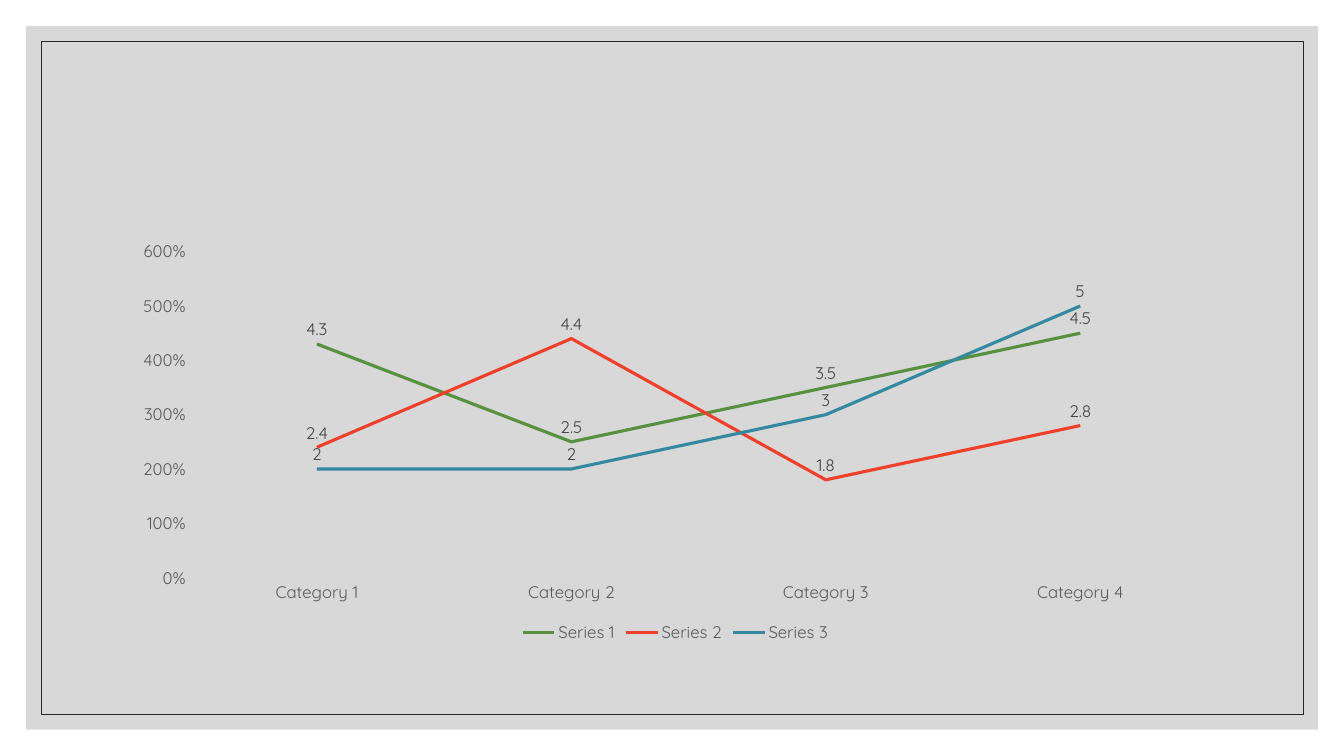
from dataclasses import dataclass

from lxml import etree
from pptx import Presentation
from pptx import util as u
from pptx.chart.data import CategoryChartData
from pptx.dml.color import RGBColor
from pptx.enum import chart as c
from pptx.enum import shapes
from pptx.oxml.ns import qn


@dataclass(frozen=True)
class Theme:
    font: str = "Quicksand"
    text_size: float = 12
    panel: str = "BFBFBF"
    panel_opacity: int = 60
    frame: str = "262626"
    axis_text: str = "595959"
    axis_line: str = "D9D9D9"
    label_text: str = "404040"
    series: tuple = ("57903F", "F03F2B", "3488A0")


class SlideBuilder:
    def __init__(self, slide, theme):
        self.slide = slide
        self.theme = theme

    def style_font(self, font, color):
        font.name = self.theme.font
        font.size = u.Pt(self.theme.text_size)
        font.color.rgb = RGBColor.from_string(color)

    def style_line(self, line, color, width):
        line.color.rgb = RGBColor.from_string(color)
        line.width = u.Pt(width)

    def rectangle(self, left, top, width, height):
        shape = self.slide.shapes.add_shape(
            shapes.MSO_SHAPE.RECTANGLE,
            u.Cm(left), u.Cm(top), u.Cm(width), u.Cm(height))
        shape.shadow.inherit = False
        return shape

    def panel(self, *box):
        shape = self.rectangle(*box)
        shape.line.fill.background()
        shape.fill.solid()
        shape.fill.fore_color.rgb = RGBColor.from_string(self.theme.panel)
        color = next(shape.fill._xPr.iter(qn("a:srgbClr")))
        alpha = etree.SubElement(color, qn("a:alpha"))
        alpha.set("val", str(self.theme.panel_opacity * 1000))

    def frame(self, *box):
        shape = self.rectangle(*box)
        shape.fill.background()
        self.style_line(shape.line, self.theme.frame, 0.5)

    def line_chart(self, left, top, width, height, categories, series):
        data = CategoryChartData()
        data.categories = categories
        for name, values in series.items():
            data.add_series(name, values)
        chart = self.slide.shapes.add_chart(
            c.XL_CHART_TYPE.LINE,
            u.Cm(left), u.Cm(top), u.Cm(width), u.Cm(height), data).chart
        chart.has_title = False
        chart.font.name = self.theme.font
        chart.font.size = u.Pt(self.theme.text_size)
        self.style_axes(chart)
        self.style_legend(chart)
        self.style_series(chart)

    def style_axes(self, chart):
        for axis in (chart.category_axis, chart.value_axis):
            axis.has_major_gridlines = False
            axis.major_tick_mark = c.XL_TICK_MARK.NONE
            axis.minor_tick_mark = c.XL_TICK_MARK.NONE
            self.style_font(axis.tick_labels.font, self.theme.axis_text)
        self.style_line(chart.category_axis.format.line, self.theme.axis_line, 0.75)
        values = chart.value_axis
        values.format.line.fill.background()
        values.minimum_scale, values.maximum_scale, values.major_unit = 0, 6, 1
        values.tick_labels.number_format = "0%"
        values.tick_labels.number_format_is_linked = False

    def style_legend(self, chart):
        chart.has_legend = True
        chart.legend.position = c.XL_LEGEND_POSITION.BOTTOM
        chart.legend.include_in_layout = False
        self.style_font(chart.legend.font, self.theme.axis_text)

    def style_series(self, chart):
        plot = chart.plots[0]
        plot.vary_by_categories = False
        for series, color in zip(plot.series, self.theme.series):
            series.smooth = False
            series.marker.style = c.XL_MARKER_STYLE.NONE
            self.style_line(series.format.line, color, 2.25)
            labels = series.data_labels
            labels.show_value = True
            labels.position = c.XL_LABEL_POSITION.ABOVE
            self.style_font(labels.font, self.theme.label_text)


def main():
    presentation = Presentation()
    presentation.slide_width = u.Cm(33.87)
    presentation.slide_height = u.Cm(19.05)
    slide = presentation.slides.add_slide(presentation.slide_layouts[6])
    builder = SlideBuilder(slide, Theme())
    builder.panel(0.66, 0.66, 32.56, 17.73)
    builder.frame(1.04, 1.04, 31.8, 16.97)
    builder.line_chart(
        3.05, 5.87, 27.94, 10.44,
        [f"Category {number}" for number in range(1, 5)],
        {
            "Series 1": (4.3, 2.5, 3.5, 4.5),
            "Series 2": (2.4, 4.4, 1.8, 2.8),
            "Series 3": (2, 2, 3, 5),
        })
    presentation.save("out.pptx")


if __name__ == "__main__":
    main()
